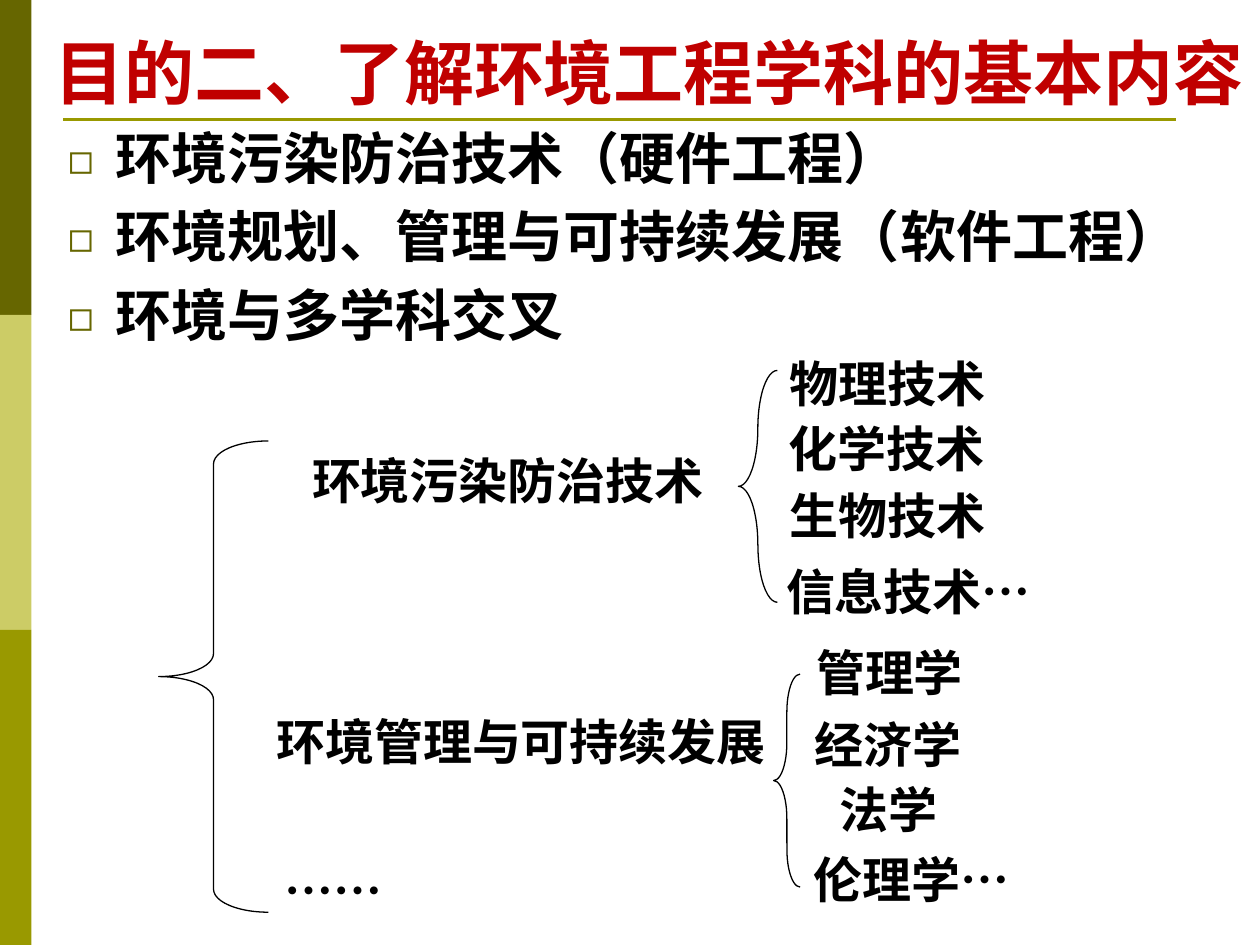
from lxml.etree import SubElement
from pptx import Presentation
from pptx.dml.color import RGBColor
from pptx.enum.shapes import MSO_CONNECTOR, MSO_SHAPE
from pptx.enum.text import MSO_ANCHOR, MSO_AUTO_SIZE, PP_ALIGN
from pptx.oxml.ns import qn
from pptx.util import Inches, Pt

COLORS = {
    "olive": "666600",
    "lime": "CCCC66",
    "moss": "999900",
    "red": "C00000",
    "black": "000000",
}
FONT = "Noto Sans CJK SC"
COLS, ROWS = 100, 75
WIDTH, HEIGHT = Inches(10), Inches(7.5)
LABEL_H = 5.7
BAND_H = ROWS / 3

TOPICS = [
    "环境污染防治技术（硬件工程）",
    "环境规划、管理与可持续发展（软件工程）",
    "环境与多学科交叉",
]
BRACES = [
    (12.6, 35, 8.7, 37.4, 0.21),
    (58.6, 29.4, 3.1, 18.4, 1.68),
    (61.4, 53.5, 2.1, 16.9, 1.43),
]
CENTERED_LABELS = [
    ("环境污染防治技术", 23.6, 35, 33.4),
    ("物理技术", 61.6, 27.3, 17.7),
    ("化学技术", 61.5, 32.4, 17.7),
    ("生物技术", 61.6, 37.7, 17.7),
    ("环境管理与可持续发展", 20.7, 55.7, 41.3),
    ("管理学", 63.7, 50.2, 13.8),
    ("经济学", 63.6, 55.9, 13.8),
    ("法学", 65.6, 61.1, 9.9),
    ("……", 21.3, 67.5, 10.4),
]
LEFT_LABELS = [
    ("信息技术…", 61.4, 43.8, 31.9),
    ("伦理学…", 63.6, 66.6, 18.1),
]


def color(name):
    return RGBColor.from_string(COLORS[name])


def place(x, y, w, h):
    cell_w, cell_h = WIDTH / COLS, HEIGHT / ROWS
    return round(x * cell_w), round(y * cell_h), round(w * cell_w), round(h * cell_h)


def set_all(obj, values):
    for name, value in values.items():
        setattr(obj, name, value)


def format_frame(tf, **values):
    set_all(tf, {
        "auto_size": MSO_AUTO_SIZE.NONE,
        "margin_left": Inches(0.1),
        "margin_right": Inches(0.1),
        "margin_top": Inches(0.08),
        "margin_bottom": Inches(0.01),
        "word_wrap": True,
        "vertical_anchor": MSO_ANCHOR.TOP,
        **values,
    })


def write(p, text, size, align=PP_ALIGN.LEFT, tint="black"):
    set_all(p, {
        "alignment": align,
        "line_spacing": Pt(size * 1.2),
        "space_before": Pt(0),
    })
    r = p.add_run()
    r.text = text
    set_all(r.font, {"size": Pt(size), "bold": True, "name": FONT})
    r.font.color.rgb = color(tint)
    SubElement(r.font._element, qn("a:ea"), typeface=FONT)


def add_bullet(p):
    pPr = p._p.get_or_add_pPr()
    pPr.set("marL", str(Inches(0.38)))
    pPr.set("indent", str(-Inches(0.38)))
    tint = SubElement(pPr, qn("a:buClr"))
    SubElement(tint, qn("a:srgbClr"), val=COLORS["olive"])
    SubElement(pPr, qn("a:buSzPct"), val="75000")
    SubElement(pPr, qn("a:buFont"), typeface=FONT)
    SubElement(pPr, qn("a:buChar"), char="◻")


def add_band(s, row, tint):
    sp = s.shapes.add_shape(MSO_SHAPE.RECTANGLE, *place(0, row * BAND_H, 2.5, BAND_H))
    sp.shadow.inherit = False
    sp.fill.solid()
    sp.fill.fore_color.rgb = color(tint)
    sp.line.fill.background()


def add_rule(s):
    left, top, width, _ = place(5, 9.5, 88.3, 0)
    line = s.shapes.add_connector(MSO_CONNECTOR.STRAIGHT, left, top, left + width, top)
    line.line.color.rgb = color("moss")
    line.line.width = Pt(1.5)
    SubElement(line._element.spPr, qn("a:effectLst"))


def add_title(s, text):
    sp = s.shapes.title
    sp.left, sp.top, sp.width, sp.height = place(3, 0.6, 97, 8.5)
    format_frame(sp.text_frame, vertical_anchor=MSO_ANCHOR.BOTTOM)
    write(sp.text_frame.paragraphs[0], text, 40, PP_ALIGN.CENTER, "red")


def add_topics(s):
    tf = s.shapes.add_textbox(*place(4.4, 9, 95.5, 19.2)).text_frame
    format_frame(tf)
    for i, topic in enumerate(TOPICS):
        p = tf.add_paragraph() if i else tf.paragraphs[0]
        add_bullet(p)
        write(p, topic, 32)
        if i:
            p.space_before = Pt(6.4)


def add_brace(s, x, y, w, h, curve):
    sp = s.shapes.add_shape(MSO_SHAPE.LEFT_BRACE, *place(x, y, w, h))
    sp.shadow.inherit = False
    sp.adjustments[0] = curve
    sp.adjustments[1] = 0.5
    sp.fill.background()
    sp.line.color.rgb = color("black")
    sp.line.width = Pt(0.75)


def add_label(s, text, x, y, w, align):
    tf = s.shapes.add_textbox(*place(x, y, w, LABEL_H)).text_frame
    format_frame(tf, word_wrap=False)
    write(tf.paragraphs[0], text, 28, align)


def main():
    prs = Presentation()
    prs.slide_width, prs.slide_height = WIDTH, HEIGHT
    s = prs.slides.add_slide(prs.slide_layouts[5])
    for row, tint in enumerate(("olive", "lime", "moss")):
        add_band(s, row, tint)
    add_rule(s)
    add_title(s, "目的二、了解环境工程学科的基本内容")
    add_topics(s)
    for brace in BRACES:
        add_brace(s, *brace)
    for label in CENTERED_LABELS:
        add_label(s, *label, PP_ALIGN.CENTER)
    for label in LEFT_LABELS:
        add_label(s, *label, PP_ALIGN.LEFT)
    prs.save("out.pptx")


if __name__ == "__main__":
    main()
